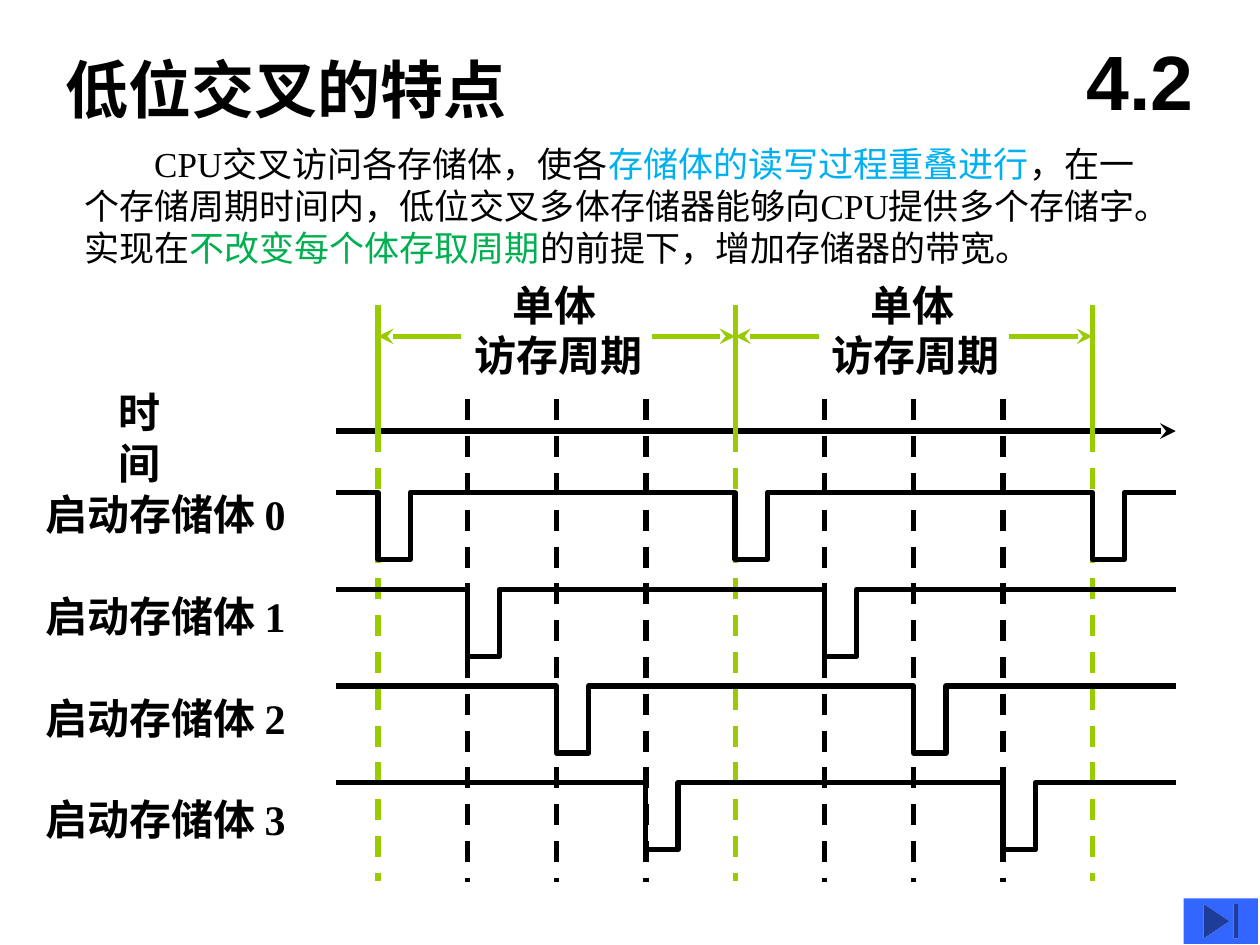
from lxml import etree
from pptx import Presentation
from pptx.dml.color import RGBColor
from pptx.enum.dml import MSO_LINE
from pptx.enum.shapes import MSO_CONNECTOR, MSO_SHAPE
from pptx.enum.text import MSO_ANCHOR, PP_ALIGN
from pptx.oxml.ns import qn
from pptx.util import Cm, Pt

STRAIGHT = MSO_CONNECTOR.STRAIGHT
END_BUTTON = MSO_SHAPE.ACTION_BUTTON_END
DASH = MSO_LINE.DASH
LEFT, CENTER = PP_ALIGN.LEFT, PP_ALIGN.CENTER
TOP, MIDDLE = MSO_ANCHOR.TOP, MSO_ANCHOR.MIDDLE

COLORS = {
    "black": "000000",
    "green": "99CC00",
    "overlap": "00B0F0",
    "unchanged": "00B050",
    "button": "3366FF",
}

BANKS = 4
CYCLES = 2
FIRST_EDGE = 7.62
SLOT = 1.8
CYCLE = BANKS * SLOT
AXIS_LEFT, AXIS_RIGHT = 6.78, 23.7
FIRST_WAVE, WAVE_STEP = 9.93, 1.95
PULSE_WIDTH, PULSE_DEPTH = 0.65, 1.35


def color(name):
    return RGBColor.from_string(COLORS[name])


def add_text(slide, paragraphs, left, top, width, height, *, size=24, bold=True,
             font="Times New Roman", align=LEFT, anchor=TOP, wrap=False, indent=0):
    box = slide.shapes.add_textbox(Cm(left), Cm(top), Cm(width), Cm(height))
    frame = box.text_frame
    frame.word_wrap = wrap
    frame.vertical_anchor = anchor
    for index, runs in enumerate(paragraphs):
        paragraph = frame.paragraphs[0] if index == 0 else frame.add_paragraph()
        paragraph.alignment = align
        if index == 0 and indent:
            paragraph._p.get_or_add_pPr().set("indent", str(Cm(indent)))
        for text, color_name in runs:
            run = paragraph.add_run()
            run.text = text
            run.font.name = font
            run.font.size = Pt(size)
            run.font.bold = bold
            run.font.color.rgb = color(color_name)


def style_line(line, color_name):
    line.color.rgb = color(color_name)
    line.width = Pt(3)


def add_line(slide, start, end, color_name="black", dashed=False, arrow=False):
    connector = slide.shapes.add_connector(
        STRAIGHT, *(Cm(value) for value in (*start, *end)))
    style_line(connector.line, color_name)
    if dashed:
        connector.line.dash_style = DASH
    properties = connector._element.spPr
    if arrow:
        outline = properties.find(qn("a:ln"))
        etree.SubElement(outline, qn("a:tailEnd"), type="stealth")
    etree.SubElement(properties, qn("a:effectLst"))


def add_wave(slide, bank):
    high = FIRST_WAVE + bank * WAVE_STEP
    low = high + PULSE_DEPTH
    points = []
    pulse = FIRST_EDGE + bank * SLOT
    while pulse < AXIS_RIGHT:
        end = pulse + PULSE_WIDTH
        points += [(pulse, high), (pulse, low), (end, low), (end, high)]
        pulse += CYCLE
    points.append((AXIS_RIGHT, high))
    builder = slide.shapes.build_freeform(Cm(AXIS_LEFT), Cm(high))
    builder.add_line_segments([(Cm(x), Cm(y)) for x, y in points], close=False)
    wave = builder.convert_to_shape()
    wave.shadow.inherit = False
    wave.fill.background()
    style_line(wave.line, "black")


def add_slot_guides(slide):
    for slot in range(CYCLES * BANKS + 1):
        x = FIRST_EDGE + slot * SLOT
        if slot % BANKS:
            add_line(slide, (x, 8.05), (x, 17.78), dashed=True)
        else:
            add_line(slide, (x, 8.69), (x, 17.76), "green", dashed=True)


def add_cycle_marks(slide):
    y, arm = 6.78, 1.68
    for cycle in range(CYCLES):
        start = FIRST_EDGE + cycle * CYCLE
        end = start + CYCLE
        add_text(slide, [[("单体", "black")], [("访存周期", "black")]],
                 start + 1.7, 5.51, 3.89, 2.29, indent=0.77)
        add_line(slide, (start + arm, y), (start, y), "green", arrow=True)
        add_line(slide, (end - arm, y), (end, y), "green", arrow=True)
    for edge in range(CYCLES + 1):
        x = FIRST_EDGE + edge * CYCLE
        add_line(slide, (x, 6.15), (x, 8.89), "green")


def add_end_button(slide):
    button = slide.shapes.add_shape(
        END_BUTTON, Cm(23.86), Cm(18.11), Cm(1.5), Cm(0.92))
    button.shadow.inherit = False
    button.fill.solid()
    button.fill.fore_color.rgb = color("button")
    button.line.fill.background()


def main():
    presentation = Presentation()
    presentation.slide_width = Cm(25.4)
    presentation.slide_height = Cm(19.05)
    slide = presentation.slides.add_slide(presentation.slide_layouts[6])

    add_slot_guides(slide)
    add_text(slide, [[("低位交叉的特点", "black")]], 1.07, 0.89, 9.55, 1.78,
             size=36, wrap=True)
    add_text(slide, [[
        ("CPU交叉访问各存储体，使各", "black"),
        ("存储体的读写过程重叠进行", "overlap"),
        ("，在一个存储周期时间内，低位交叉多体存储器能够向CPU提供多个存储字。实现在", "black"),
        ("不改变每个体存取周期", "unchanged"),
        ("的前提下，增加存储器的带宽。", "black"),
    ]], 1.45, 2.74, 22.23, 2.79, size=20, bold=False, wrap=True, indent=1.41)
    add_text(slide, [[("4.2", "black")]], 21.39, 0.43, 3.18, 2.34, size=44,
             font="Arial", align=CENTER, anchor=MIDDLE, wrap=True)

    add_text(slide, [[("时间", "black")]], 2.13, 7.67, 2.18, 1.27)
    add_line(slide, (AXIS_LEFT, 8.69), (AXIS_RIGHT, 8.69), arrow=True)
    for bank in range(BANKS):
        add_wave(slide, bank)
        add_text(slide, [[(f"启动存储体 {bank}", "black")]],
                 0.66, 9.73 + bank * 2.05, 5.56, 1.27)
    add_cycle_marks(slide)
    add_end_button(slide)

    presentation.save("out.pptx")


if __name__ == "__main__":
    main()
